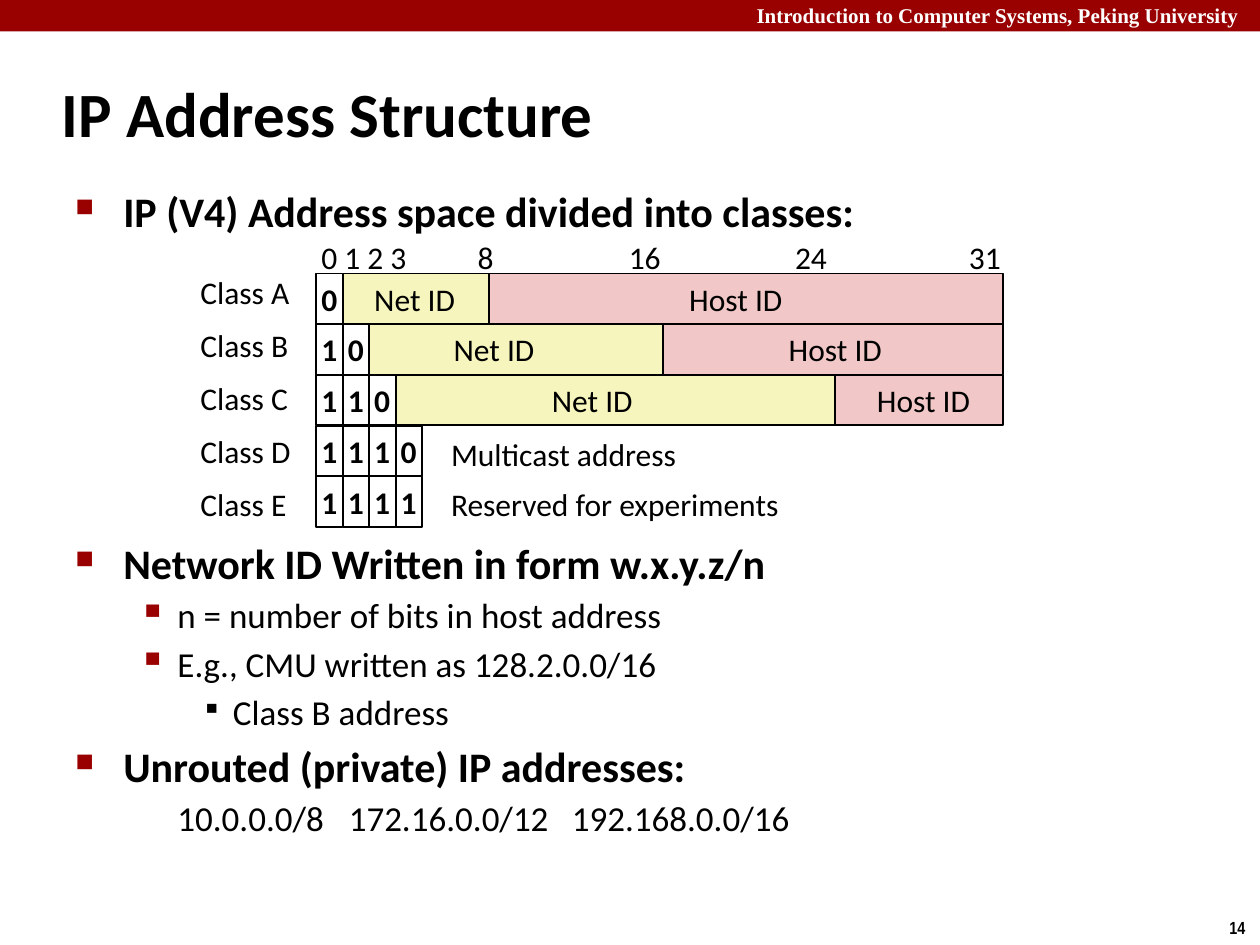
from dataclasses import dataclass

from lxml import etree
from pptx import Presentation
from pptx.dml.color import RGBColor
from pptx.enum.shapes import MSO_SHAPE
from pptx.enum.text import MSO_ANCHOR, PP_ALIGN
from pptx.oxml.ns import qn
from pptx.util import Inches, Pt

RECTANGLE = MSO_SHAPE.RECTANGLE
MIDDLE = MSO_ANCHOR.MIDDLE
LEFT, RIGHT = PP_ALIGN.LEFT, PP_ALIGN.RIGHT
TITLE_ONLY = 5


@dataclass(frozen=True)
class Theme:
    accent: str = "990000"
    ink: str = "000000"
    paper: str = "FFFFFF"
    network: str = "F6F5BD"
    host: str = "F1C7C7"
    font: str = "Calibri"
    header_font: str = "Times New Roman"
    number_font: str = "Arial Narrow"
    title: float = 36
    heading: float = 24
    detail: float = 20
    label: float = 18
    header: float = 12
    number: float = 10


@dataclass(frozen=True)
class Level:
    size: float
    bold: bool
    margin: float
    hanging: float
    before: float
    bullet: str = ""
    bullet_percent: int = 100
    bullet_color: str = ""


@dataclass(frozen=True)
class AddressClass:
    name: str
    prefix: str
    network_end: float = 0
    network_label: float = 0
    host_label: float = 0
    note: str = ""


THEME = Theme()
HEADING = Level(THEME.heading, True, 0.38, 0.38, 4.3, "■", 60, THEME.accent)
DETAIL = Level(THEME.detail, False, 0.81, 0.31, 3.6, "▪", 110, THEME.accent)
EXAMPLE = Level(THEME.detail, False, 1.25, 0.25, 3.6, "▪", 80, THEME.ink)
PLAIN = Level(THEME.detail, False, 0, 0, 3.6)

DIAGRAM_GAP = 172.4  # points of space left for the class diagram
OUTLINE = [
    (HEADING, "IP (V4) Address space divided into classes:", 0),
    (HEADING, "Network ID Written in form w.x.y.z/n", DIAGRAM_GAP),
    (DETAIL, "n = number of bits in host address", DETAIL.before),
    (DETAIL, "E.g., CMU written as 128.2.0.0/16", DETAIL.before),
    (EXAMPLE, "Class B address", EXAMPLE.before),
    (HEADING, "Unrouted (private) IP addresses:", HEADING.before),
    (PLAIN, "\t10.0.0.0/8\t172.16.0.0/12\t192.168.0.0/16", PLAIN.before),
]
ADDRESS_TABS = [0.81, 2.17, 3.94]
RULER_TABS = [1.24, 2.44, 3.76, 5.14]

CLASSES = [
    AddressClass("Class A", "0", 3.88, 2.97, 5.47),
    AddressClass("Class B", "10", 5.26, 3.6, 6.26),
    AddressClass("Class C", "110", 6.63, 4.38, 6.96),
    AddressClass("Class D", "1110", note="Multicast address"),
    AddressClass("Class E", "1111", note="Reserved for experiments"),
]
GRID_LEFT, GRID_TOP, GRID_RIGHT = 2.51, 2.17, 7.96
BIT_WIDTH, ROW_HEIGHT, NAME_PITCH = 0.21, 0.4, 0.42


def write(para, text: str, size: float, bold: bool = False,
          color: str = THEME.ink, font: str = THEME.font) -> None:
    span = para.add_run()
    span.text = text
    for name, value in {"name": font, "size": Pt(size), "bold": bold}.items():
        setattr(span.font, name, value)
    span.font.color.rgb = RGBColor.from_string(color)


def set_frame(frame, inset_x: float = 0, inset_y: float = 0, **settings) -> None:
    """Apply symmetric insets in inches plus any other frame settings."""
    formats = {
        "margin_left": Inches(inset_x), "margin_right": Inches(inset_x),
        "margin_top": Inches(inset_y), "margin_bottom": Inches(inset_y),
        **settings,
    }
    for name, value in formats.items():
        setattr(frame, name, value)


def add_box(page, left: float, top: float, width: float, height: float):
    return page.shapes.add_textbox(
        Inches(left), Inches(top), Inches(width), Inches(height)).text_frame


def add_label(page, text: str, left: float, top: float, width: float = 0.75) -> None:
    frame = add_box(page, left, top, width, 0.3)
    set_frame(frame, word_wrap=False)
    write(frame.paragraphs[0], text, THEME.label)


def add_block(page, left: float, top: float, width: float, height: float,
              fill: str, outlined: bool = True):
    block = page.shapes.add_shape(
        RECTANGLE, Inches(left), Inches(top), Inches(width), Inches(height))
    block.shadow.inherit = False
    block.fill.solid()
    block.fill.fore_color.rgb = RGBColor.from_string(fill)
    if outlined:
        block.line.color.rgb = RGBColor.from_string(THEME.ink)
        block.line.width = Pt(1)
    else:
        block.line.fill.background()
    return block


def add_tabs(para, stops: list[float]) -> None:
    tabs = etree.SubElement(para._p.get_or_add_pPr(), qn("a:tabLst"))
    for stop in stops:
        etree.SubElement(tabs, qn("a:tab"), pos=str(Inches(stop)), algn="l")


def add_bullet(para, level: Level) -> None:
    properties = para._p.get_or_add_pPr()
    properties.set("marL", str(Inches(level.margin)))
    properties.set("indent", str(-Inches(level.hanging)))
    color = etree.SubElement(properties, qn("a:buClr"))
    etree.SubElement(color, qn("a:srgbClr"), val=level.bullet_color)
    etree.SubElement(properties, qn("a:buSzPct"), val=str(level.bullet_percent * 1000))
    etree.SubElement(properties, qn("a:buChar"), char=level.bullet)


def add_header(page) -> None:
    add_block(page, 0, 0, 10, 0.25, THEME.accent, outlined=False)
    frame = add_box(page, 4.73, -0.03, 5.2, 0.3)
    set_frame(frame, 0.1, 0.05, word_wrap=True)
    frame.paragraphs[0].alignment = RIGHT
    write(frame.paragraphs[0], "Introduction to Computer Systems, Peking University",
          THEME.header, True, THEME.paper, THEME.header_font)


def add_page_number(page) -> None:
    frame = add_box(page, 9.66, 7.23, 0.34, 0.27)
    set_frame(frame, 0.1, 0.05, word_wrap=False)
    write(frame.paragraphs[0], "14", THEME.number, True, font=THEME.number_font)


def set_title(page) -> None:
    title = page.shapes.title
    place = {"left": 0.39, "top": 0.48, "width": 8.3, "height": 0.83}
    for name, value in place.items():
        setattr(title, name, Inches(value))
    set_frame(title.text_frame, 0.1, 0.05, vertical_anchor=MIDDLE, word_wrap=True)
    para = title.text_frame.paragraphs[0]
    para.alignment = LEFT
    write(para, "IP Address Structure", THEME.title, True)


def add_outline(page) -> None:
    frame = add_box(page, 0.5, 1.42, 9.09, 5.71)
    set_frame(frame, 0.1, 0.05, word_wrap=True)
    for index, (level, text, before) in enumerate(OUTLINE):
        para = frame.add_paragraph() if index else frame.paragraphs[0]
        if level.bullet:
            add_bullet(para, level)
        else:
            add_tabs(para, ADDRESS_TABS)
        if before:
            para.space_before = Pt(before)
        write(para, text, level.size, level.bold)


def add_ruler(page) -> None:
    frame = add_box(page, 2.55, 1.89, 5.52, 0.3)
    set_frame(frame, word_wrap=True)
    add_tabs(frame.paragraphs[0], RULER_TABS)
    write(frame.paragraphs[0], "0 1 2 3\t8\t16\t24\t31", THEME.label)


def add_class_row(page, index: int, row: AddressClass) -> None:
    top = GRID_TOP + index * (ROW_HEIGHT + 0.003)
    add_label(page, row.name, 1.59, GRID_TOP + index * NAME_PITCH)
    if row.note:
        add_label(page, row.note, 3.58, top + 0.07, 2.63)
    else:
        start = GRID_LEFT + BIT_WIDTH * len(row.prefix)
        end = row.network_end
        add_block(page, start, top, end - start, ROW_HEIGHT, THEME.network)
        add_block(page, end, top, GRID_RIGHT - end, ROW_HEIGHT, THEME.host)
        add_label(page, "Net ID", row.network_label, top + 0.05)
        add_label(page, "Host ID", row.host_label, top + 0.05)
    for position, bit in enumerate(row.prefix):
        cell = add_block(page, GRID_LEFT + BIT_WIDTH * position, top,
                         BIT_WIDTH, ROW_HEIGHT, THEME.paper)
        set_frame(cell.text_frame, 0.04, 0.05, vertical_anchor=MIDDLE, word_wrap=False)
        cell.text_frame.paragraphs[0].alignment = LEFT
        write(cell.text_frame.paragraphs[0], bit, THEME.label, True)


def main() -> None:
    deck = Presentation()
    deck.slide_width, deck.slide_height = Inches(10), Inches(7.5)
    page = deck.slides.add_slide(deck.slide_layouts[TITLE_ONLY])
    add_header(page)
    add_page_number(page)
    set_title(page)
    add_outline(page)
    add_ruler(page)
    for index, row in enumerate(CLASSES):
        add_class_row(page, index, row)
    deck.save("out.pptx")


if __name__ == "__main__":
    main()
